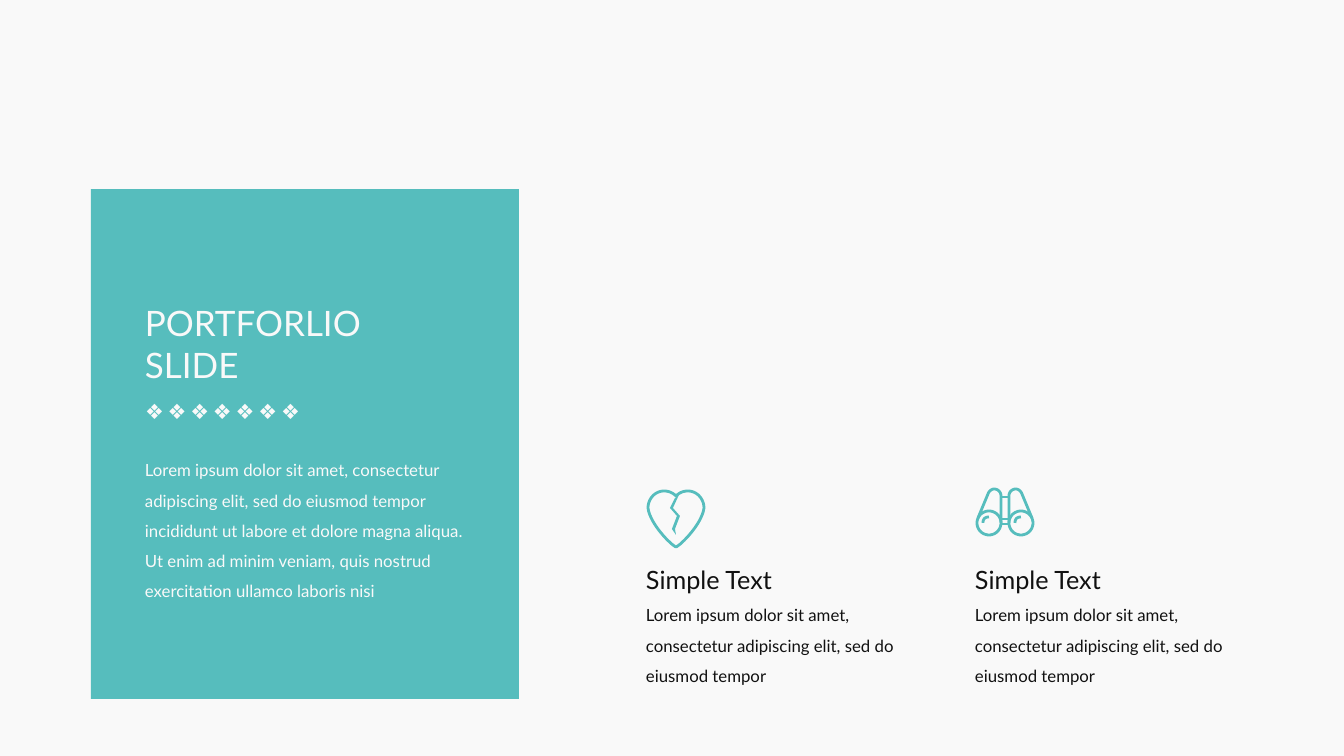
from math import cos, pi, sin

from pptx import Presentation, util as u
from pptx.dml.color import RGBColor
from pptx.enum import shapes, text

PX = 914400 / 100.8
PALE = RGBColor(0xF9, 0xF9, 0xF9)
TEAL = RGBColor(0x56, 0xBD, 0xBD)
DARK = RGBColor(0x11, 0x11, 0x11)

INTRO = ("Lorem ipsum dolor sit amet, consectetur adipiscing elit, sed do eiusmod "
         "tempor incididunt ut labore et dolore magna aliqua. Ut enim ad minim "
         "veniam, quis nostrud exercitation ullamco laboris nisi")
BLURB = "Lorem ipsum dolor sit amet, consectetur adipiscing elit, sed do eiusmod tempor"


def px(*vals):
    """Turn px lengths into EMU."""
    return [u.Emu(round(v * PX)) for v in vals]


def label(slide, box, words, size, color, font="Lato", wrap=True, space=None):
    """Add a text box without insets."""
    frame = slide.shapes.add_textbox(*px(*box)).text_frame
    frame.margin_left = frame.margin_right = frame.margin_top = frame.margin_bottom = 0
    frame.word_wrap = wrap
    frame.auto_size = text.MSO_AUTO_SIZE.SHAPE_TO_FIT_TEXT
    para = frame.paragraphs[0]
    para.text = words
    para.line_spacing = space
    para.font.size = u.Pt(size)
    para.font.name = font
    para.font.color.rgb = color


def stroke(shape):
    """Give a shape a teal outline and no fill."""
    shape.shadow.inherit = False
    shape.fill.background()
    shape.line.color.rgb = TEAL
    shape.line.width = u.Pt(2)


def solid(shape):
    """Give a shape a teal fill and no outline."""
    shape.shadow.inherit = False
    shape.fill.solid()
    shape.fill.fore_color.rgb = TEAL
    shape.line.fill.background()


def curve(pts, steps=16):
    """Sample a cubic curve, leaving out its first point."""
    for i in range(1, steps + 1):
        t = i / steps
        parts = (1 - t) ** 3, 3 * t * (1 - t) ** 2, 3 * t * t * (1 - t), t ** 3
        yield tuple(sum(k * p[axis] for k, p in zip(parts, pts)) for axis in (0, 1))


def trace(start, *legs):
    """List the points of legs with one point (line) or three (curve)."""
    pts = [start]
    for leg in legs:
        pts += curve([pts[-1], *leg]) if len(leg) == 3 else leg
    return pts


def ring(x, y, radius, steps=48):
    """List the points of a circle, ending where it starts."""
    turns = [2 * pi * i / steps for i in range(steps + 1)]
    return [(x + radius * cos(a), y + radius * sin(a)) for a in turns]


def flip(pts, width):
    """Mirror points across the middle of a width."""
    return [(width - x, y) for x, y in pts]


def shift(pts, dist):
    """Move points to the right."""
    return [(x + dist, y) for x, y in pts]


def draw(slide, left, top, *paths, close=False):
    """Build one outline from paths relative to a corner."""
    pen = None
    for pts in paths:
        spots = [px(left + x, top + y) for x, y in pts]
        if pen:
            pen.move_to(*spots[0])
        else:
            pen = slide.shapes.build_freeform(*spots[0], scale=1.0)
        pen.add_line_segments(spots[1:], close=close)
    return pen.convert_to_shape()


def heart(slide, left, top):
    """Draw the broken heart."""
    half = trace((30, 57), [(25, 55), (4, 34), (2, 18)],
                 [(2, 9), (9, 1), (18, 1)], [(23, 1), (27, 3), (30, 6)])
    stroke(draw(slide, left, top, half + flip(half, 60)[-2:0:-1], close=True))
    crack = [(29, 8), (24, 18), (31, 26), (26, 39), (30, 45),
             (29, 39), (34, 26), (27, 18), (33, 5)]
    solid(draw(slide, left, top, crack, close=True))


def scope(slide, left, top):
    """Draw the binoculars."""
    barrel = trace((3, 30), [(13, 6)], [(14, 3), (17, 1), (19, 1)],
                   [(23, 1), (26, 4), (26, 8)], [(26, 35)])
    shine = trace((8, 35), [(8, 31), (10, 29), (14, 29)])
    lens = ring(14, 35, 12)
    bars = [[(26, y), (34, y)] for y in (9, 31, 36)]
    stroke(draw(slide, left, top - 2, barrel, flip(barrel, 60), lens, shift(lens, 32),
                shine, shift(shine, 32), *bars))


def panel(slide, left, top, width, height):
    """Place the teal title panel."""
    solid(slide.shapes.add_shape(shapes.MSO_SHAPE.RECTANGLE,
                                 *px(left, top, width, height)))
    inner = left + 54
    label(slide, (inner, top + 261, 322, 152), INTRO, 12, PALE, space=1.5)
    label(slide, (inner, top + 113, 229, 85), "PORTFORLIO SLIDE", 25, PALE)
    for i in range(7):
        label(slide, (inner + 136 * i / 6, top + 210, 19, 25), "❖", 15, PALE,
              "Calibri", False)


def card(slide, left, top, width, icon):
    """Place an icon with its heading and blurb."""
    icon(slide, left, top)
    label(slide, (left, top + 105, width, 88), BLURB, 12, DARK, space=1.5)
    label(slide, (left, top + 74, 134, 30), "Simple Text", 18, DARK, wrap=False)


def main():
    """Build and save the slide."""
    deck = Presentation()
    deck.slide_width, deck.slide_height = px(1344, 756)
    slide = deck.slides.add_slide(deck.slide_layouts[6])
    slide.background.fill.solid()
    slide.background.fill.fore_color.rgb = PALE
    panel(slide, 91, 189, 428, 510)
    for i, icon in enumerate((heart, scope)):
        card(slide, 646 + 329 * i, 490, 251, icon)
    deck.save("out.pptx")


if __name__ == "__main__":
    main()
